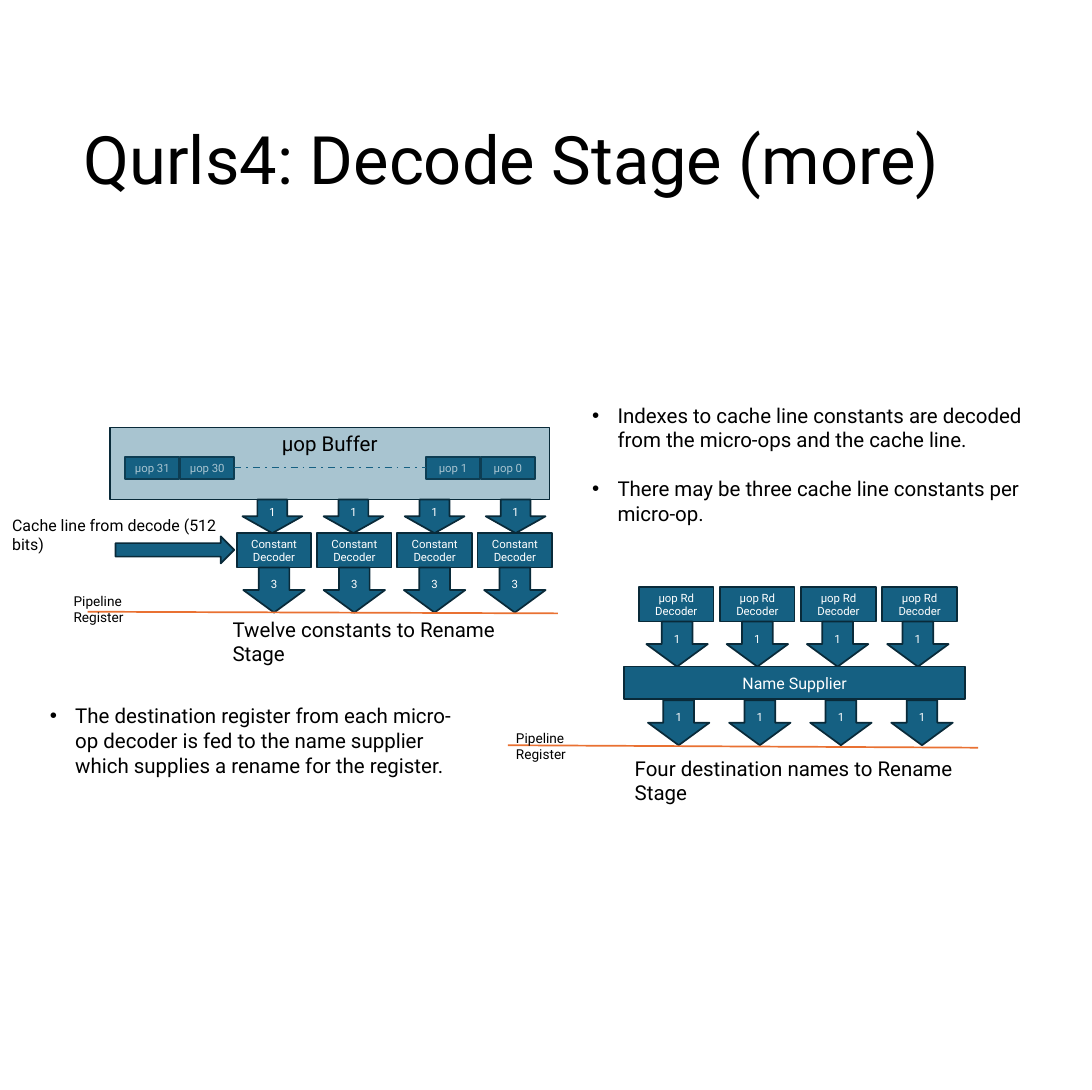
from lxml.etree import SubElement as Sub
from pptx import Presentation
from pptx.dml.color import RGBColor as RGB
from pptx.enum.dml import MSO_LINE as Dash
from pptx.enum.shapes import MSO_CONNECTOR as Conn, MSO_SHAPE as Kind
from pptx.enum.text import MSO_ANCHOR as Anchor, MSO_AUTO_SIZE as Auto, PP_ALIGN as Align
from pptx.oxml.ns import qn
from pptx.util import Inches, Pt

COLORS = {"teal": "156082", "edge": "092A39", "rule": "E97132",
          "ink": "000000", "white": "FFFFFF"}
LANES = 4
BOX, SMALL, BIG = (0.91, 0.42), (0.73, 0.41), (0.75, 0.55)


def color(name):
    return RGB.from_string(COLORS[name])


def apply(item, values):
    for key, value in values.items():
        setattr(item, key, value)


class Board:
    """Holds the text style and the slide being drawn."""

    def __init__(self, deck):
        self.font = "Roboto"
        self.slide = deck.slides.add_slide(deck.slide_layouts[5])
        self.shapes = self.slide.shapes

    def letter(self, item, lines, size, ink="ink", frame=None, para=None):
        """Fill a shape with styled paragraphs and return them."""
        body = item.text_frame
        apply(body, {"word_wrap": True, "auto_size": Auto.NONE,
                     "vertical_anchor": Anchor.TOP, **(frame or {})})
        body.text = "\n".join(lines)
        for part in body.paragraphs:
            apply(part, para or {})
            apply(part.font, {"name": self.font, "size": Pt(size)})
            part.font.color.rgb = color(ink)
        return body.paragraphs

    def title(self, text, at):
        item = self.shapes.title
        places = map(Inches, at)
        apply(item, dict(zip(("left", "top", "width", "height"), places)))
        self.letter(item, [text], 58.7, frame={"vertical_anchor": Anchor.MIDDLE},
                    para={"alignment": Align.LEFT, "line_spacing": 0.9})

    def shape(self, kind, at, text="", size=10, ink="white",
              anchor=Anchor.MIDDLE, alpha=None):
        item = self.shapes.add_shape(kind, *map(Inches, at))
        item.shadow.inherit = False
        item.fill.solid()
        item.fill.fore_color.rgb = color("teal")
        item.line.color.rgb = color("edge")
        item.line.width = Pt(1.5)
        if alpha:
            tint = item._element.spPr.find(qn("a:solidFill"))[0]
            Sub(tint, qn("a:alpha"), val=str(alpha * 1000))
        if text:
            self.letter(item, [text], size, ink, {"vertical_anchor": anchor},
                        {"alignment": Align.CENTER})

    def row(self, kind, left, top, pitch, size, text):
        """Draw one equal shape for each lane."""
        for lane in range(LANES):
            self.shape(kind, (left + lane * pitch, top, *size), text)

    def line(self, start, end, tone, dash=None):
        item = self.shapes.add_connector(Conn.STRAIGHT, *map(Inches, start + end))
        item.line.color.rgb = color(tone)
        apply(item.line, {"width": Pt(1.5), "dash_style": dash})
        Sub(item._element.spPr, qn("a:effectLst"))

    def label(self, at, text, size=18):
        item = self.shapes.add_textbox(*map(Inches, at))
        self.letter(item, [text], size)

    def bullets(self, at, lines):
        item = self.shapes.add_textbox(*map(Inches, at))
        parts = self.letter(item, lines, 18)
        for part in parts[:-1]:
            part.space_after = Pt(21.5)
        for part in parts:
            props = part._p.get_or_add_pPr()
            props.set("marL", str(Inches(0.31)))
            props.set("indent", str(Inches(-0.31)))
            mark = Sub(props, qn("a:buFont"), typeface="Arial")
            mark.addnext(props.makeelement(qn("a:buChar"), {"char": "•"}))
            style = props.find(qn("a:defRPr"))
            if style is not None:
                props.append(style)


def buffer(board):
    for left, first in ((1.53, 31), (5.2, 1)):
        for step in range(2):
            board.shape(Kind.RECTANGLE, (left + step * 0.67, 5.58, 0.66, 0.27),
                        f"µop {first - step}")
    board.line((2.86, 5.71), (5.2, 5.71), "teal", Dash.DASH_DOT)
    board.shape(Kind.RECTANGLE, (1.34, 5.22, 5.37, 0.88), "µop Buffer", 18,
                "ink", Anchor.TOP, 37)


def constants(board):
    board.row(Kind.RECTANGLE, 2.89, 6.51, 0.98, BOX, "Constant Decoder")
    board.row(Kind.DOWN_ARROW, 2.96, 6.1, 0.99, SMALL, "1")
    board.row(Kind.DOWN_ARROW, 2.97, 6.93, 0.98, BIG, "3")
    board.shape(Kind.RIGHT_ARROW, (1.41, 6.55, 1.45, 0.33))
    board.label((0.05, 6.25, 3.06, 0.34), "Cache line from decode (512 bits)", 14)
    board.label((2.74, 7.48, 3.97, 0.4), "Twelve constants to Rename Stage")
    board.line((1.07, 7.47), (6.81, 7.49), "rule")
    board.label((0.8, 7.19, 1.42, 0.3), "Pipeline Register", 12)


def names(board):
    board.row(Kind.RECTANGLE, 7.8, 7.17, 0.99, BOX, "µop Rd Decoder")
    board.row(Kind.DOWN_ARROW, 7.89, 7.59, 0.98, BIG, "1")
    board.shape(Kind.RECTANGLE, (7.62, 8.14, 4.16, 0.4), "Name Supplier", 14)
    board.row(Kind.DOWN_ARROW, 7.91, 8.55, 0.99, BIG, "1")
    board.label((7.65, 9.18, 4.66, 0.4), "Four destination names to Rename Stage")
    board.line((6.2, 9.1), (11.94, 9.13), "rule")
    board.label((6.2, 8.86, 1.42, 0.3), "Pipeline Register", 12)


def main():
    deck = Presentation()
    apply(deck, {"slide_width": Inches(13.33), "slide_height": Inches(13.31)})
    board = Board(deck)
    board.title("Qurls4: Decode Stage (more)", (0.92, 0.71, 11.5, 2.57))
    buffer(board)
    constants(board)
    names(board)
    board.bullets((7.13, 4.87, 5.87, 1.62), [
        "Indexes to cache line constants are decoded from the micro-ops "
        "and the cache line.",
        "There may be three cache line constants per micro-op."])
    board.bullets((0.51, 8.54, 5.25, 1.01), [
        "The destination register from each micro-op decoder is fed to the "
        "name supplier which supplies a rename for the register."])
    deck.save("out.pptx")


if __name__ == "__main__":
    main()
